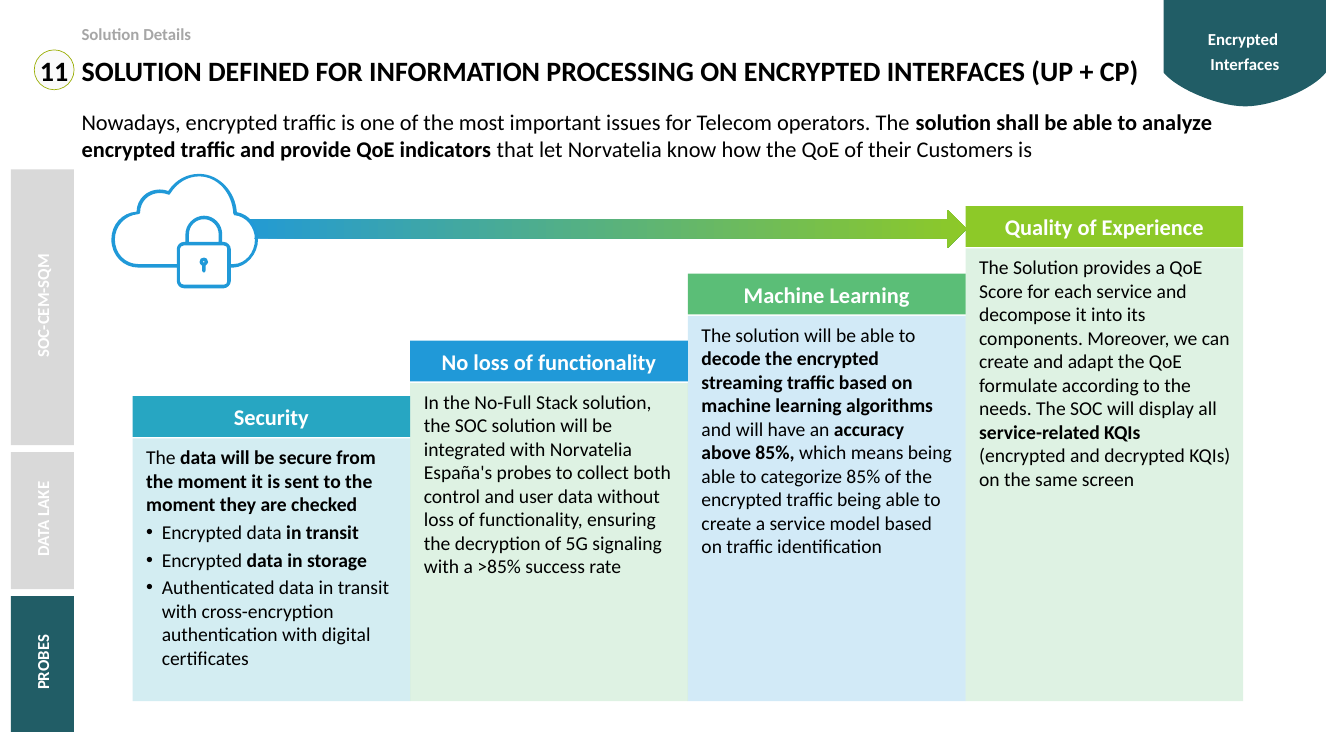
import pptx
import pptx.util
import pptx.dml.color
import pptx.enum.shapes
import pptx.enum.text
import pptx.oxml.ns
import lxml.etree

Inches = pptx.util.Inches
Kind = pptx.enum.shapes.MSO_SHAPE
Align = pptx.enum.text.PP_ALIGN
Anchor = pptx.enum.text.MSO_ANCHOR
HUE = {"black": "000000", "white": "FFFFFF", "grey": "A6A6A6", "pale": "D9D9D9",
       "dark": "215D66", "blue": "2099D8", "teal": "27A6C2", "green": "5BBE77",
       "lime": "8DC928", "ring": "9AAE04", "disc": "FAFAFA"}

BADGE = [[(23.09, 0), (26.31, 0), (26.31, 1.44), (26.05, 1.77, 25.25, 2.11, 24.71, 2.11),
          (24.18, 2.11, 23.36, 1.77, 23.09, 1.44)]]
CLOUD = [
    [(4.7, 4.21), (4.67, 3.79, 4.34, 3.45, 3.95, 3.45), (3.71, 3.45, 3.48, 3.57, 3.34, 3.79),
     (3.29, 3.77, 3.23, 3.76, 3.17, 3.76), (2.92, 3.76, 2.72, 3.94, 2.71, 4.2),
     (2.42, 4.22, 2.21, 4.46, 2.21, 4.75), (2.21, 5.07, 2.45, 5.31, 2.75, 5.31),
     (3.51, 5.31), (3.51, 5.58), (3.51, 5.65, 3.57, 5.72, 3.65, 5.72), (4.44, 5.72),
     (4.51, 5.72, 4.58, 5.65, 4.58, 5.58), (4.58, 5.31), (4.63, 5.31),
     (4.89, 5.3, 5.12, 5.04, 5.12, 4.75), (5.12, 4.48, 4.95, 4.25, 4.7, 4.21)],
    [(4.51, 5.58), (4.51, 5.62, 4.49, 5.65, 4.44, 5.65), (3.65, 5.65),
     (3.61, 5.65, 3.57, 5.62, 3.57, 5.58), (3.57, 4.94),
     (3.57, 4.9, 3.61, 4.87, 3.65, 4.87), (4.44, 4.87),
     (4.49, 4.87, 4.51, 4.9, 4.51, 4.94)],
    [(4.34, 4.8), (3.75, 4.8), (3.75, 4.65), (3.75, 4.48, 3.88, 4.35, 4.05, 4.35),
     (4.2, 4.35, 4.34, 4.48, 4.34, 4.65)],
    [(4.63, 5.24), (4.58, 5.24), (4.58, 4.94), (4.58, 4.87, 4.51, 4.8, 4.44, 4.8),
     (4.41, 4.8), (4.41, 4.65), (4.41, 4.45, 4.25, 4.28, 4.05, 4.28),
     (3.85, 4.28, 3.68, 4.45, 3.68, 4.65), (3.68, 4.8), (3.65, 4.8),
     (3.57, 4.8, 3.51, 4.87, 3.51, 4.94), (3.51, 5.24), (2.75, 5.24),
     (2.48, 5.24, 2.28, 5.03, 2.28, 4.75), (2.28, 4.49, 2.48, 4.27, 2.74, 4.25),
     (2.76, 4.25, 2.78, 4.24, 2.78, 4.22), (2.78, 4, 2.95, 3.83, 3.17, 3.83),
     (3.23, 3.83, 3.29, 3.84, 3.34, 3.86), (3.36, 3.87, 3.37, 3.86, 3.38, 3.84),
     (3.51, 3.63, 3.72, 3.5, 3.95, 3.5), (4.32, 3.5, 4.61, 3.83, 4.63, 4.24),
     (4.63, 4.25, 4.64, 4.27, 4.65, 4.27), (4.89, 4.29, 5.06, 4.51, 5.06, 4.75),
     (5.06, 5.01, 4.87, 5.24, 4.63, 5.24)]]
KEYHOLE = [
    [(4.05, 5.11), (3.99, 5.11, 3.96, 5.14, 3.96, 5.2), (3.96, 5.23, 3.98, 5.25, 4.01, 5.27),
     (4.01, 5.37), (4.01, 5.38, 4.03, 5.41, 4.05, 5.41),
     (4.06, 5.41, 4.08, 5.38, 4.08, 5.37), (4.08, 5.27),
     (4.1, 5.25, 4.13, 5.23, 4.13, 5.2), (4.13, 5.14, 4.09, 5.11, 4.05, 5.11)],
    [(4.05, 5.17), (4.06, 5.17, 4.06, 5.18, 4.06, 5.2), (4.06, 5.21, 4.06, 5.21, 4.05, 5.21),
     (4.03, 5.21, 4.02, 5.21, 4.02, 5.2), (4.02, 5.18, 4.03, 5.17, 4.05, 5.17)]]

STEPS = [
    ("Security", "teal", "teal", 7.86,
     ["The |data will be secure from the moment it is sent to the moment they are checked",
      "Encrypted data |in transit", "Encrypted |data in storage",
      "Authenticated data in transit with cross-encryption authentication with digital "
      "certificates"]),
    ("No loss of functionality", "blue", "green", 6.76,
     ["In the No-Full Stack solution, the SOC solution will be integrated with Norvatelia "
      "España's probes to collect both control and user data without loss of functionality, "
      "ensuring the decryption of 5G signaling with a >85% success rate"]),
    ("Machine Learning", "green", "blue", 5.43,
     ["The solution will be able to |decode the encrypted streaming traffic based on machine "
      "learning algorithms |and will have an |accuracy above 85%, |which means being able to "
      "categorize 85% of the encrypted traffic being able to create a service model based on "
      "traffic identification"]),
    ("Quality of Experience", "lime", "green", 4.09,
     ["The Solution provides a QoE Score for each service and decompose it into its "
      "components. Moreover, we can create and adapt the QoE formulate according to the needs. "
      "The SOC will display all |service-related KQIs| (encrypted and decrypted KQIs) on the "
      "same screen"])]
TABS = [("SOC-CEM-SQM", 5.47, "pale"), ("DATA LAKE", 2.72, "pale"), ("PROBES", 2.69, "dark")]


def shade(name):
    return pptx.dml.color.RGBColor.from_string(HUE[name])


def tag(name):
    return pptx.oxml.ns.qn("a:" + name)


def write(shape, paras, size=24, hue="black", bold=False, align=Align.LEFT,
          anchor=Anchor.TOP, pads=(0.1, 0.05, 0.1, 0.05), wrap=True, gap=0, lead=1.0):
    frame = shape.text_frame
    frame.auto_size = pptx.enum.text.MSO_AUTO_SIZE.NONE
    frame.word_wrap = wrap
    frame.vertical_anchor = anchor
    (frame.margin_left, frame.margin_top,
     frame.margin_right, frame.margin_bottom) = map(Inches, pads)
    for row, text in enumerate(paras):
        para = frame.add_paragraph() if row else frame.paragraphs[0]
        listed = row > 0 and align == Align.LEFT
        props = para._p.get_or_add_pPr()
        props.set("marL", str(Inches(0.31) if listed else 0))
        props.set("indent", str(Inches(-0.31) if listed else 0))
        mark = lxml.etree.SubElement(props, tag("buChar" if listed else "buNone"))
        if listed:
            mark.set("char", "•")
        para.alignment = align
        para.line_spacing = lead
        para.space_before = pptx.util.Pt(gap if row else 0)
        for part, words in enumerate(text.split("|")):
            run = para.add_run()
            run.text = words
            run.font.name = "Calibri"
            run.font.size = pptx.util.Pt(size)
            run.font.bold = bold or part % 2 == 1
            run.font.color.rgb = shade(hue)


class Deck:
    def __init__(self):
        self.file = pptx.Presentation()
        self.file.slide_width, self.file.slide_height = Inches(26.67), Inches(15)
        self.slide = self.file.slides.add_slide(self.file.slide_layouts[1])
        self.shapes = self.slide.shapes

    def paint(self, shape, fill, alpha=None):
        shape.fill.solid()
        shape.fill.fore_color.rgb = shade(fill)
        if alpha:
            tone = shape.fill._xPr.find(".//" + tag("srgbClr"))
            lxml.etree.SubElement(tone, tag("alpha")).set("val", str(alpha * 1000))
        shape.line.fill.background()

    def block(self, box, fill, kind=Kind.RECTANGLE, alpha=None):
        shape = self.shapes.add_shape(kind, *map(Inches, box))
        shape.shadow.inherit = False
        self.paint(shape, fill, alpha)
        return shape

    def shift(self, index, box):
        shape = self.slide.placeholders[index]
        shape.left, shape.top, shape.width, shape.height = map(Inches, box)
        return shape

    def label(self, box, text, **style):
        write(self.shapes.add_textbox(*map(Inches, box)), text, **style)

    def outline(self, rings, fill):
        ends = [[tuple(map(Inches, step[-2:])) for step in ring] for ring in rings]
        pen = self.shapes.build_freeform(*ends[0][0])
        pen.add_line_segments(ends[0][1:])
        for ring in ends[1:]:
            pen.move_to(*ring[0])
            pen.add_line_segments(ring[1:])
        shape = pen.convert_to_shape()
        shape.shadow.inherit = False
        self.paint(shape, fill)
        self.bend(shape, [step for ring in rings for step in ring[1:]])

    def bend(self, shape, steps):
        lines = [line for line in shape._element.iter(tag("lnTo"))]
        for line, step in zip(lines, steps):
            if len(step) == 6:
                curve = lxml.etree.Element(tag("cubicBezTo"))
                for x, y in zip(step[::2], step[1::2]):
                    dot = lxml.etree.SubElement(curve, tag("pt"))
                    dot.set("x", str(Inches(x) - shape.left))
                    dot.set("y", str(Inches(y) - shape.top))
                line.getparent().replace(line, curve)

    def arrow(self, box, start, end):
        shape = self.block(box, start, Kind.RIGHT_ARROW)
        shape.fill.gradient()
        shape.fill.gradient_angle = 0
        for stop, hue in zip(shape.fill.gradient_stops, (start, end)):
            stop.color.rgb = shade(hue)


def main():
    deck = Deck()
    mid = {"align": Align.CENTER, "anchor": Anchor.MIDDLE, "bold": True}
    deck.outline(BADGE, "dark")
    deck.label((22.67, 0.31, 3.99, 1.47), ["Encrypted", " Interfaces"],
               hue="white", gap=10, lead=0.9, **mid)
    deck.label((1.52, 0.38, 10.83, 0.55), ["Solution Details"],
               hue="grey", bold=True, pads=(0.1,) * 4)
    write(deck.shift(0, (1.52, 0.97, 21.5, 1.1)),
          ["SOLUTION DEFINED FOR INFORMATION PROCESSING ON ENCRYPTED INTERFACES (UP + CP)"],
          size=40, bold=True, pads=(0.1,) * 4)

    wide, head, base = 5.51, 0.81, 13.91
    for col, (name, fill, tint, top, text) in enumerate(STEPS):
        left = 2.63 + col * wide
        write(deck.block((left, top, wide, head), fill), [name], size=32, hue="white",
              bold=True, align=Align.CENTER, anchor=Anchor.BOTTOM,
              pads=(0.27, 0.13, 0.27, 0.13))
        start = top + head + 0.03
        box = (left, start, wide, base - start)
        if len(text) > 1:
            panel = deck.shift(1, box)
            deck.paint(panel, tint, 20)
        else:
            panel = deck.block(box, tint, alpha=20)
        write(panel, text, size=28, pads=(0.27, 0.13, 0.24, 0.13), gap=6)

    deck.arrow((4.49, 4.16, 14.69, 0.76), "blue", "lime")
    for box in ((3.85, 3.77, 0.85, 1.03), (4.05, 4.27, 1.02, 0.71)):
        deck.block(box, "white", Kind.OVAL)
    deck.outline(CLOUD, "blue")
    deck.outline(KEYHOLE, "blue")

    deck.label((1.52, 2.1, 23.6, 1.18),
               ["Nowadays, encrypted traffic is one of the most important issues for Telecom "
                "operators. The |solution shall be able to analyze encrypted traffic and provide "
                "QoE indicators| that let Norvatelia know how the QoE of their Customers is"],
               size=32)
    disc = deck.block((0.68, 0.99, 0.79, 0.79), "disc", Kind.OVAL)
    disc.line.color.rgb = shade("ring")
    disc.line.width = pptx.util.Pt(1)
    write(disc, ["11"], size=40, wrap=False, **mid)

    top, thick = 3.36, 1.25
    for name, size, fill in TABS:
        tab = deck.block((0.84 - size / 2, top + (size - thick) / 2, size, thick), fill)
        tab.rotation = 270
        write(tab, [name], hue="white", pads=(0.16, 0.05, 0.1, 0.05), **mid)
        top += size + 0.14
    deck.file.save("out.pptx")


if __name__ == "__main__":
    main()
